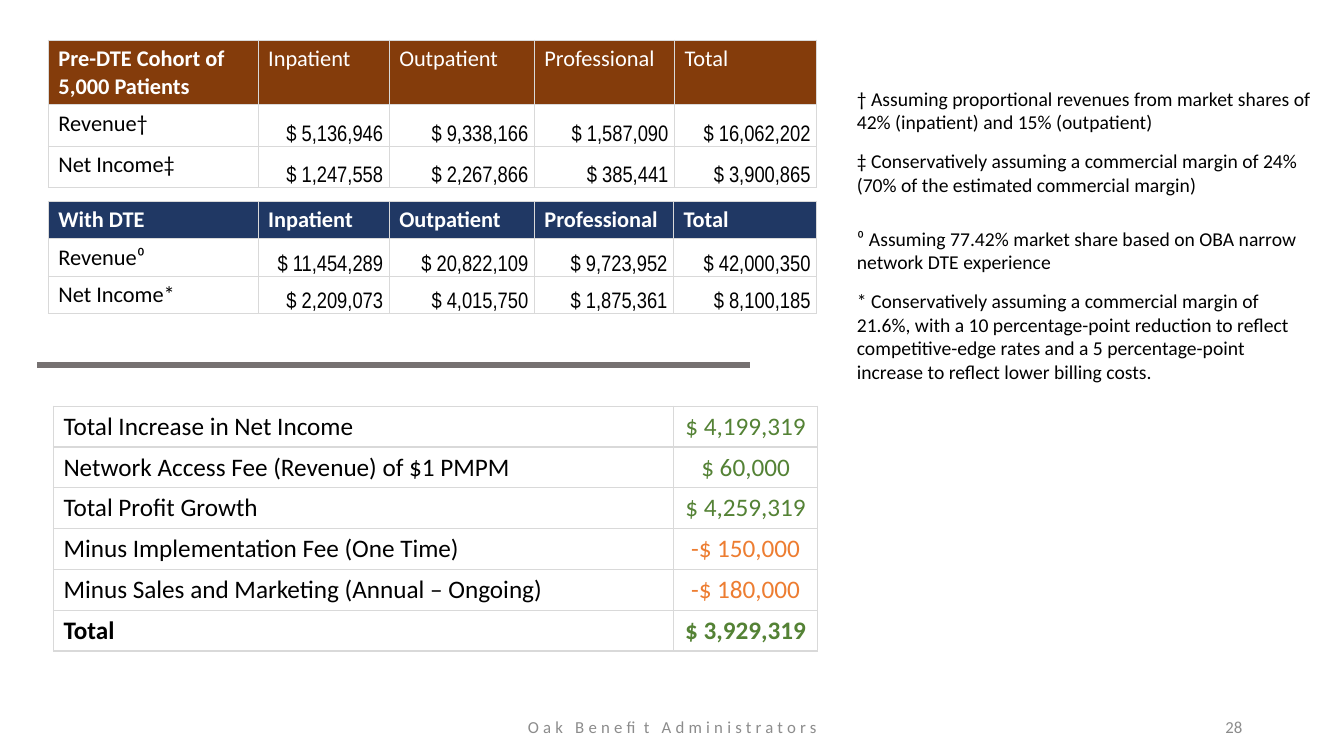
"""Builds the slide comparing revenue and net income before and with DTE."""
from lxml import etree
from pptx import Presentation
from pptx.dml.color import RGBColor
from pptx.enum.shapes import MSO_CONNECTOR
from pptx.enum.text import MSO_ANCHOR, PP_ALIGN
from pptx.oxml.ns import qn
from pptx.util import Inches, Pt

LEFT, CENTER, RIGHT = PP_ALIGN.LEFT, PP_ALIGN.CENTER, PP_ALIGN.RIGHT
TOP, MIDDLE, BOTTOM = MSO_ANCHOR.TOP, MSO_ANCHOR.MIDDLE, MSO_ANCHOR.BOTTOM
STRAIGHT = MSO_CONNECTOR.STRAIGHT

COLORS = {
    "text": "000000", "header_text": "FFFFFF", "border": "D9D9D9",
    "before": "843C0B", "with": "203864", "divider": "767171",
    "gain": "548235", "cost": "ED7D31", "footer": "8C8C8C",
}
BODY_FONT, FIGURE_FONT = "Calibri", "Arial Narrow"

SERVICES = ["Inpatient", "Outpatient", "Professional", "Total"]
COHORTS = [
    {
        "top": 0.4, "color": "before", "bold_services": False,
        "columns": [2.08, 1.3, 1.44, 1.39, 1.41], "heights": [0.64, 0.41, 0.41],
        "rows": [
            ["Pre-DTE Cohort of 5,000 Patients", *SERVICES],
            ["Revenue†", "$ 5,136,946", "$ 9,338,166", "$ 1,587,090", "$ 16,062,202"],
            ["Net Income‡", "$ 1,247,558", "$ 2,267,866", "$ 385,441", "$ 3,900,865"],
        ],
    },
    {
        "top": 2, "color": "with", "bold_services": True,
        "columns": [2.08, 1.3, 1.44, 1.38, 1.42], "heights": [0.37, 0.37, 0.37],
        "rows": [
            ["With DTE", *SERVICES],
            ["Revenue⁰", "$ 11,454,289", "$ 20,822,109", "$ 9,723,952", "$ 42,000,350"],
            ["Net Income*", "$ 2,209,073", "$ 4,015,750", "$ 1,875,361", "$ 8,100,185"],
        ],
    },
]
PROFIT = [
    ("Total Increase in Net Income", "$ 4,199,319"),
    ("Network Access Fee (Revenue) of $1 PMPM", "$ 60,000"),
    ("Total Profit Growth", "$ 4,259,319"),
    ("Minus Implementation Fee (One Time)", "-$ 150,000"),
    ("Minus Sales and Marketing (Annual – Ongoing)", "-$ 180,000"),
    ("Total", "$ 3,929,319"),
]
FOOTNOTES = [
    (0.81, 0.57, "† Assuming proportional revenues from market shares of 42% (inpatient) "
                 "and 15% (outpatient)"),
    (1.43, 0.57, "‡ Conservatively assuming a commercial margin of 24% (70% of the "
                 "estimated commercial margin)"),
    (2.2, 0.57, "⁰ Assuming 77.42% market share based on OBA narrow network DTE experience"),
    (2.82, 1.04, "* Conservatively assuming a commercial margin of 21.6%, with a 10 "
                 "percentage-point reduction to reflect competitive-edge rates and a 5 "
                 "percentage-point increase to reflect lower billing costs."),
]
FOOTER, PAGE = "Oak Benefit Administrators", "28"


def rgb(name):
    return RGBColor.from_string(COLORS[name])


def write(frame, words, size, color="text", align=LEFT, font=BODY_FONT, bold=False):
    paragraph = frame.paragraphs[0]
    paragraph.text = words
    paragraph.alignment = align
    paragraph.font.name = font
    paragraph.font.size = Pt(size)
    paragraph.font.bold = bold
    paragraph.font.color.rgb = rgb(color)
    return paragraph


def add_text(slide, box, words, size, color="text", align=LEFT, anchor=TOP):
    frame = slide.shapes.add_textbox(*map(Inches, box)).text_frame
    frame.word_wrap = True
    frame.vertical_anchor = anchor
    return write(frame, words, size, color, align)


def add_grid(slide, left, top, columns, heights):
    table = slide.shapes.add_table(
        len(heights), len(columns), Inches(left), Inches(top),
        Inches(sum(columns)), Inches(sum(heights))).table
    table.first_row = table.horz_banding = False
    for column, width in zip(table.columns, columns):
        column.width = Inches(width)
    for row, height in zip(table.rows, heights):
        row.height = Inches(height)
    for cell in table.iter_cells():
        properties = cell._tc.get_or_add_tcPr()
        for side in ("a:lnL", "a:lnR", "a:lnT", "a:lnB"):
            edge = etree.SubElement(properties, qn(side), w=str(Pt(1)))
            paint = etree.SubElement(edge, qn("a:solidFill"))
            etree.SubElement(paint, qn("a:srgbClr"), val=COLORS["border"])
        cell.fill.background()
    return table


def add_cohort(slide, cohort):
    table = add_grid(slide, 0.48, cohort["top"], cohort["columns"], cohort["heights"])
    for r, row in enumerate(cohort["rows"]):
        for c, words in enumerate(row):
            cell = table.cell(r, c)
            if r == 0:
                cell.fill.solid()
                cell.fill.fore_color.rgb = rgb(cohort["color"])
                write(cell.text_frame, words, 16, "header_text",
                      bold=c == 0 or cohort["bold_services"])
            elif c == 0:
                write(cell.text_frame, words, 16)
            else:
                cell.vertical_anchor = BOTTOM
                cell.margin_left = cell.margin_top = Inches(0.01)
                cell.margin_right, cell.margin_bottom = Inches(0.06), 0
                write(cell.text_frame, words, 16, align=RIGHT, font=FIGURE_FONT)


def add_profit(slide):
    table = add_grid(slide, 0.53, 4.03, [6.15, 1.43], [0.405] * len(PROFIT))
    for r, (label, amount) in enumerate(PROFIT):
        bold = label == "Total"
        color = "cost" if amount.startswith("-") else "gain"
        write(table.cell(r, 0).text_frame, label, 18, bold=bold)
        write(table.cell(r, 1).text_frame, amount, 18, color, CENTER, bold=bold)


def main():
    deck = Presentation()
    deck.slide_width, deck.slide_height = Inches(13.33), Inches(7.5)
    slide = deck.slides.add_slide(deck.slide_layouts[6])

    footer = add_text(slide, (4.42, 7.08, 4.5, 0.27), FOOTER, 12, "footer", CENTER, MIDDLE)
    footer.runs[0]._r.get_or_add_rPr().set("spc", "300")
    add_text(slide, (9.42, 7.08, 3, 0.27), PAGE, 12, "footer", RIGHT, MIDDLE)

    for cohort in COHORTS:
        add_cohort(slide, cohort)
    for top, height, note in FOOTNOTES:
        add_text(slide, (8.4, top, 4.72, height), note, 14)

    divider = slide.shapes.add_connector(
        STRAIGHT, Inches(0.37), Inches(3.62), Inches(7.44), Inches(3.62))
    divider.line.color.rgb = rgb("divider")
    divider.line.width = Pt(4.5)
    etree.SubElement(divider._element.spPr, qn("a:effectLst"))

    add_profit(slide)
    deck.save("out.pptx")


if __name__ == "__main__":
    main()
